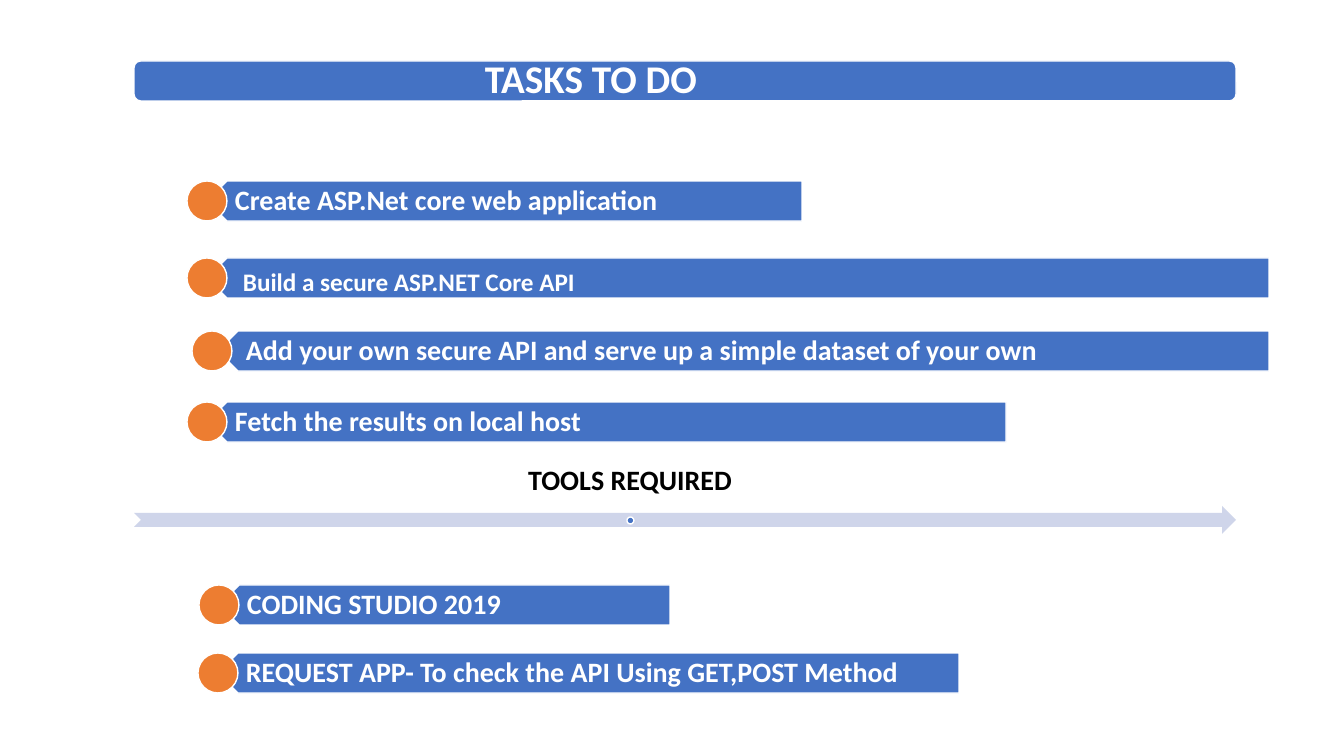
"""Build the slide listing the tasks to do and the tools required."""
from pptx import Presentation
from pptx import util as u
from pptx.dml.color import RGBColor
from pptx.enum import shapes, text

TITLE = "TASKS TO DO"
TOOLS_HEADING = "TOOLS REQUIRED"
# wording, circle left, bar left, top, bar length
ROWS = [
    ("Create ASP.Net core web application", 187, 207, 181, 595),
    ("Build a secure ASP.NET Core API", 187, 207, 258, 1062),
    ("Add your own secure API and serve up a simple dataset of your own", 192, 218, 331, 1051),
    ("Fetch the results on local host", 187, 207, 402, 799),
    ("CODING STUDIO 2019", 199, 219, 585, 451),
    ("REQUEST APP- To check the API Using GET,POST Method", 198, 218, 653, 741),
]
SMALLER = {"Build a secure ASP.NET Core API": dict(size=18, spacing=1.0, dx=8, dy=3)}
COLORS = {"blue": "4472C4", "orange": "ED7D31", "pale": "CFD5EA", "white": "FFFFFF", "black": "000000"}
BAR_HEIGHT = 40
TEXT_INDENT = 28
FONT = "Calibri"
KIND = shapes.MSO_SHAPE
ANCHOR = text.MSO_ANCHOR
ALIGN = text.PP_ALIGN


def px(length):
    return u.Emu(round(length * 914400 / 100.8))


def rgb(name):
    return RGBColor.from_string(COLORS[name])


def draw(slide, kind, left, top, width, height, fill, outlined=True):
    part = slide.shapes.add_shape(kind, px(left), px(top), px(width), px(height))
    part.shadow.inherit = False
    part.fill.solid()
    part.fill.fore_color.rgb = rgb(fill)
    if outlined:
        part.line.color.rgb = rgb("white")
        part.line.width = u.Pt(1)
    else:
        part.line.fill.background()
    return part


def write(frame, wording, size, color="white", anchor=ANCHOR.MIDDLE, align=ALIGN.LEFT, indent=0, spacing=0.9):
    frame.word_wrap = True
    frame.vertical_anchor = anchor
    frame.margin_left = px(indent)
    frame.margin_right = frame.margin_top = frame.margin_bottom = 0
    line = frame.paragraphs[0]
    line.alignment = align
    line.line_spacing = spacing
    run = line.add_run()
    run.text = wording
    run.font.name = FONT
    run.font.size = u.Pt(size)
    run.font.bold = True
    run.font.color.rgb = rgb(color)


def label(slide, left, top, width, height, wording, size, **style):
    box = slide.shapes.add_textbox(px(left), px(top), px(width), px(height))
    write(box.text_frame, wording, size, **style)


def draw_row(slide, wording, circle_left, bar_left, top, length, size=20, spacing=0.9, dx=0, dy=0):
    bar = draw(slide, KIND.PENTAGON, bar_left, top, length, BAR_HEIGHT, "blue")
    bar.rotation = 180
    label(slide, bar_left + TEXT_INDENT + dx, top + dy, length - TEXT_INDENT - dx, BAR_HEIGHT,
          wording, size, spacing=spacing)
    draw(slide, KIND.OVAL, circle_left, top, BAR_HEIGHT, BAR_HEIGHT, "orange")


def main():
    deck = Presentation()
    deck.slide_width, deck.slide_height = px(1344), px(756)
    slide = deck.slides.add_slide(deck.slide_layouts[6])

    banner = draw(slide, KIND.ROUNDED_RECTANGLE, 134, 61, 1102, BAR_HEIGHT, "blue")
    write(banner.text_frame, TITLE, 28, indent=349)

    for row in ROWS:
        draw_row(slide, *row, **SMALLER.get(row[0], {}))

    draw(slide, KIND.NOTCHED_RIGHT_ARROW, 134, 506, 1102, 28, "pale", outlined=False)
    label(slide, 134, 465, 992, 32, TOOLS_HEADING, 20, color="black",
          anchor=ANCHOR.BOTTOM, align=ALIGN.CENTER)
    draw(slide, KIND.OVAL, 627, 517, 7, 7, "blue")

    deck.save("out.pptx")


if __name__ == "__main__":
    main()
